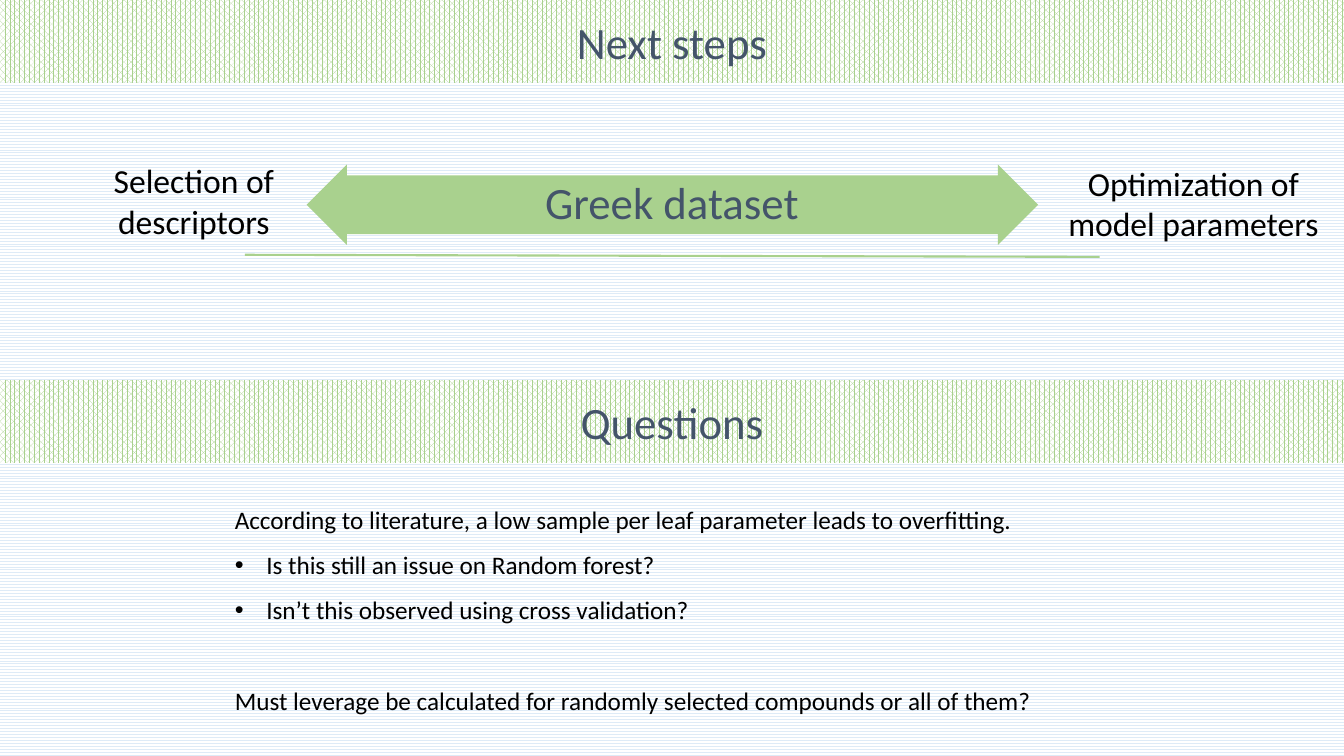
from lxml.etree import SubElement as Sub
from pptx import Presentation
from pptx.dml.color import RGBColor
from pptx.enum.dml import MSO_PATTERN as Pat
from pptx.enum.shapes import MSO_CONNECTOR as Conn, MSO_SHAPE as Kind
from pptx.enum.text import MSO_ANCHOR as Anchor, MSO_AUTO_SIZE as Auto, PP_ALIGN as Align
from pptx.oxml.ns import qn
from pptx.util import Pt

GREEN = RGBColor(0xA9, 0xD1, 0x8E)
PALE = RGBColor(0xDE, 0xEB, 0xF7)
WHITE = RGBColor(255, 255, 255)
SLATE = RGBColor(0x44, 0x54, 0x6A)
BLACK = RGBColor(0, 0, 0)

WIDE, HIGH = 960, 540
BAND = 59
NEXT = ("Next steps", 0)
ASK = ("Questions", 271.5)
LABELS = [
    ("Greek dataset", (370, 121, 220, 46), 32, SLATE),
    ("Selection of descriptors", (66.5, 111, 144, 65.5), 24, BLACK),
    ("Optimization of model parameters", (754, 112.5, 197, 65.5), 24, BLACK),
]
ARROW = (219, 117.5, 522.5, 57.5)
RULE = (175, 182, 785.5, 183.5)
BODY = (160.5, 345.5, 593.5, 168)
POINTS = [
    ("According to literature, a low sample per leaf parameter leads to overfitting.", False, 0),
    ("Is this still an issue on Random forest?", True, 0),
    ("Isn’t this observed using cross validation?", True, 0),
    ("Must leverage be calculated for randomly selected compounds or all of them?", False, 32.5),
]
INDENT = 22.5


def place(shape, box):
    shape.left, shape.top, shape.width, shape.height = map(Pt, box)


def style(para, size, color, align=Align.CENTER):
    para.alignment = align
    para.font.name = "Calibri"
    para.font.size = Pt(size)
    para.font.color.rgb = color


def hatch(fill, kind, color):
    fill.patterned()
    fill.pattern = kind
    fill.fore_color.rgb = color
    fill.back_color.rgb = WHITE


def band(shape, text, top):
    place(shape, (0, top, WIDE, BAND))
    hatch(shape.fill, Pat.PERCENT_70, GREEN)
    frame = shape.text_frame
    frame.text = text
    frame.auto_size = Auto.NONE
    frame.vertical_anchor = Anchor.MIDDLE
    style(frame.paragraphs[0], 32, SLATE)


def bullet(para, shown):
    props = para._p.get_or_add_pPr()
    shift = Pt(INDENT) if shown else 0
    props.set("marL", str(shift))
    props.set("indent", str(-shift))
    if shown:
        Sub(props, qn("a:buFont"), typeface="Arial")
        Sub(props, qn("a:buChar"), char="•")
    else:
        Sub(props, qn("a:buNone"))


deck = Presentation()
deck.slide_width, deck.slide_height = Pt(WIDE), Pt(HIGH)
slide = deck.slides.add_slide(deck.slide_layouts[1])
shapes = slide.shapes
hatch(slide.background.fill, Pat.ZIG_ZAG, PALE)

band(shapes.title, *NEXT)
ask = shapes.add_shape(Kind.RECTANGLE, 0, 0, 0, 0)
ask.shadow.inherit = False
ask.line.fill.background()
band(ask, *ASK)

arrow = shapes.add_shape(Kind.LEFT_RIGHT_ARROW, *map(Pt, ARROW))
arrow.adjustments[0] = 0.73
arrow.adjustments[1] = 0.5
arrow.shadow.inherit = False
arrow.fill.solid()
arrow.fill.fore_color.rgb = GREEN
arrow.line.fill.background()

rule = shapes.add_connector(Conn.STRAIGHT, *map(Pt, RULE))
rule.line.color.rgb = GREEN
rule.line.width = Pt(1.5)
Sub(rule._element.spPr, qn("a:effectLst"))

for text, box, size, color in LABELS:
    frame = shapes.add_textbox(*map(Pt, box)).text_frame
    frame.word_wrap = True
    frame.text = text
    style(frame.paragraphs[0], size, color)

body = slide.placeholders[1]
place(body, BODY)
frame = body.text_frame
frame.auto_size = Auto.NONE
frame.text = "\n".join(text for text, _, _ in POINTS)
for para, (_, shown, gap) in zip(frame.paragraphs, POINTS):
    bullet(para, shown)
    para.line_spacing = 1.5
    para.space_before = Pt(gap)
    style(para, 18, BLACK, Align.JUSTIFY)

deck.save("out.pptx")
